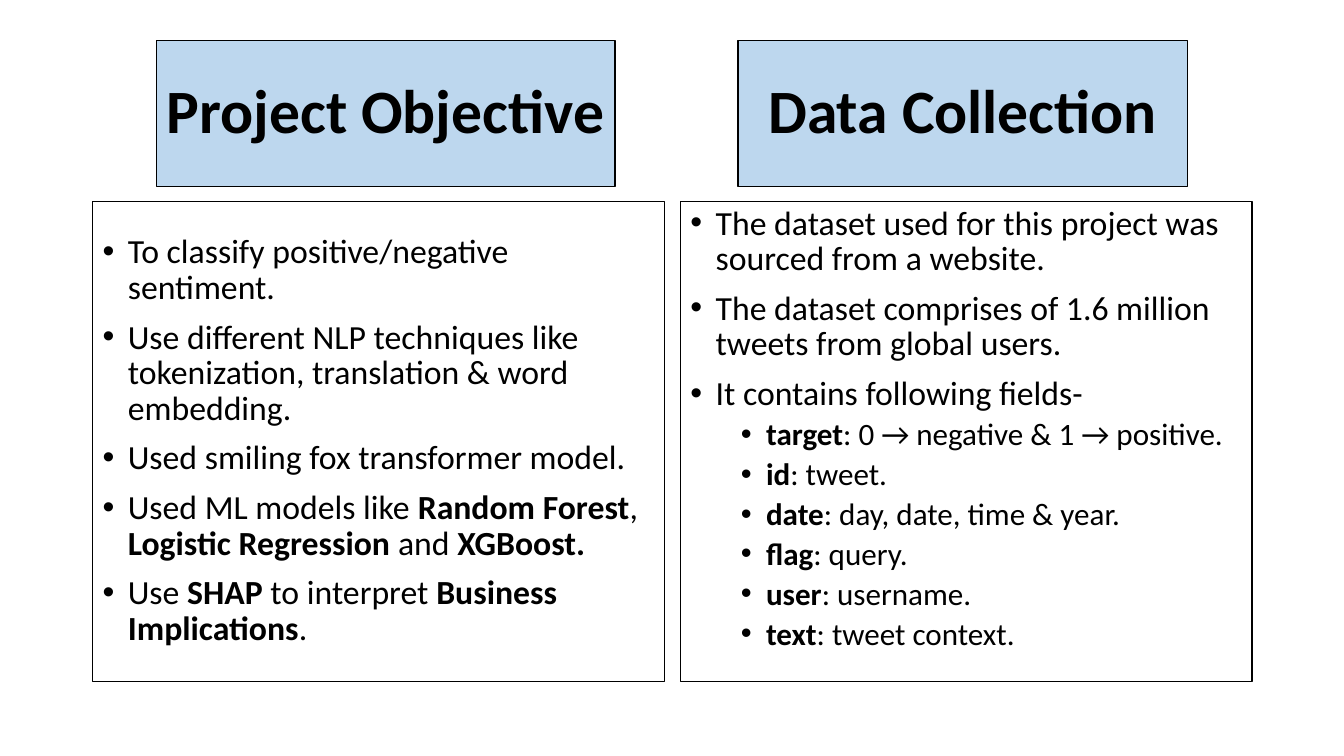
from pptx import Presentation, util as u
from pptx.dml import color
from pptx.enum import shapes, text
from pptx.oxml import parse_xml
from pptx.oxml.ns import nsdecls

PX = 9144  # EMU per px, 100 px to the inch


def rgb(code):
    return color.RGBColor.from_string(code)


class Deck:
    font, ink, tint = "Calibri", "000000", "BDD7EE"

    def __init__(self, wide, high):
        self.prs = Presentation()
        self.prs.slide_width, self.prs.slide_height = wide * PX, high * PX
        self.slide = self.prs.slides.add_slide(self.prs.slide_layouts[5])

    def rect(self, box):
        shape = self.slide.shapes.add_shape(
            shapes.MSO_SHAPE.RECTANGLE, *[n * PX for n in box])
        shape.shadow.inherit = False
        return shape

    def frame(self, shape, box, fill, width, anchor):
        shape.left, shape.top, shape.width, shape.height = [n * PX for n in box]
        if fill:
            shape.fill.solid()
            shape.fill.fore_color.rgb = rgb(fill)
        else:
            shape.fill.background()
        shape.line.color.rgb = rgb(self.ink)
        shape.line.width = u.Pt(width)
        body = shape.text_frame
        body.word_wrap = True
        body.auto_size = text.MSO_AUTO_SIZE.NONE
        body.vertical_anchor = anchor
        return body

    def style(self, run, size, bold):
        run.font.name, run.font.size, run.font.bold = self.font, u.Pt(size), bold
        run.font.color.rgb = rgb(self.ink)

    def head(self, shape, box, words):
        body = self.frame(shape, box, self.tint, 0.75, text.MSO_ANCHOR.MIDDLE)
        body.text = words
        para = body.paragraphs[0]
        para.alignment = text.PP_ALIGN.CENTER
        para.line_spacing = 0.9
        self.style(para.runs[0], 44, True)

    def list(self, box, items, anchor):
        """Items are (level, words); ** switches bold on and off."""
        body = self.frame(self.rect(box), box, None, 1, anchor)
        for i, (level, words) in enumerate(items):
            para = body.add_paragraph() if i else body.paragraphs[0]
            para.alignment = text.PP_ALIGN.LEFT
            para.level = level
            para.line_spacing = 0.88
            para.space_before = u.Pt(5 if level else 10)
            self.bullet(para, 75 if level else 25)
            for k, part in enumerate(words.split("**")):
                if part:
                    run = para.add_run()
                    run.text = part
                    self.style(run, 22.2 if level else 24.1, k % 2 == 1)

    def bullet(self, para, left):
        props = para._p.get_or_add_pPr()
        props.set("marL", str(left * PX))
        props.set("indent", str(-25 * PX))
        for tag in ('buFont %s typeface="Arial"', 'buChar %s char="•"'):
            props.append(parse_xml("<a:" + tag % nsdecls("a") + "/>"))


GOALS = [
    (0, "To classify positive/negative sentiment."),
    (0, "Use different NLP techniques like tokenization, translation & word embedding."),
    (0, "Used smiling fox transformer model."),
    (0, "Used ML models like **Random Forest**, **Logistic Regression** and **XGBoost.**"),
    (0, "Use **SHAP** to interpret **Business Implications**."),
]
DATA = [
    (0, "The dataset used for this project was sourced from a website."),
    (0, "The dataset comprises of 1.6 million tweets from global users."),
    (0, "It contains following fields-"),
    (1, "**target**: 0 → negative & 1 → positive."),
    (1, "**id**: tweet."),
    (1, "**date**: day, date, time & year."),
    (1, "**flag**: query."),
    (1, "**user**: username."),
    (1, "**text**: tweet context."),
]


def main():
    deck = Deck(1333, 750)
    # Left column: objective
    deck.head(deck.slide.shapes.title, (155, 40, 455, 145), "Project Objective")
    deck.list((92, 200, 567, 476), GOALS, text.MSO_ANCHOR.MIDDLE)
    # Right column: data
    deck.list((675, 200, 567, 476), DATA, text.MSO_ANCHOR.TOP)
    box = (732, 40, 446, 145)
    deck.head(deck.rect(box), box, "Data Collection")
    deck.prs.save("out.pptx")


if __name__ == "__main__":
    main()
